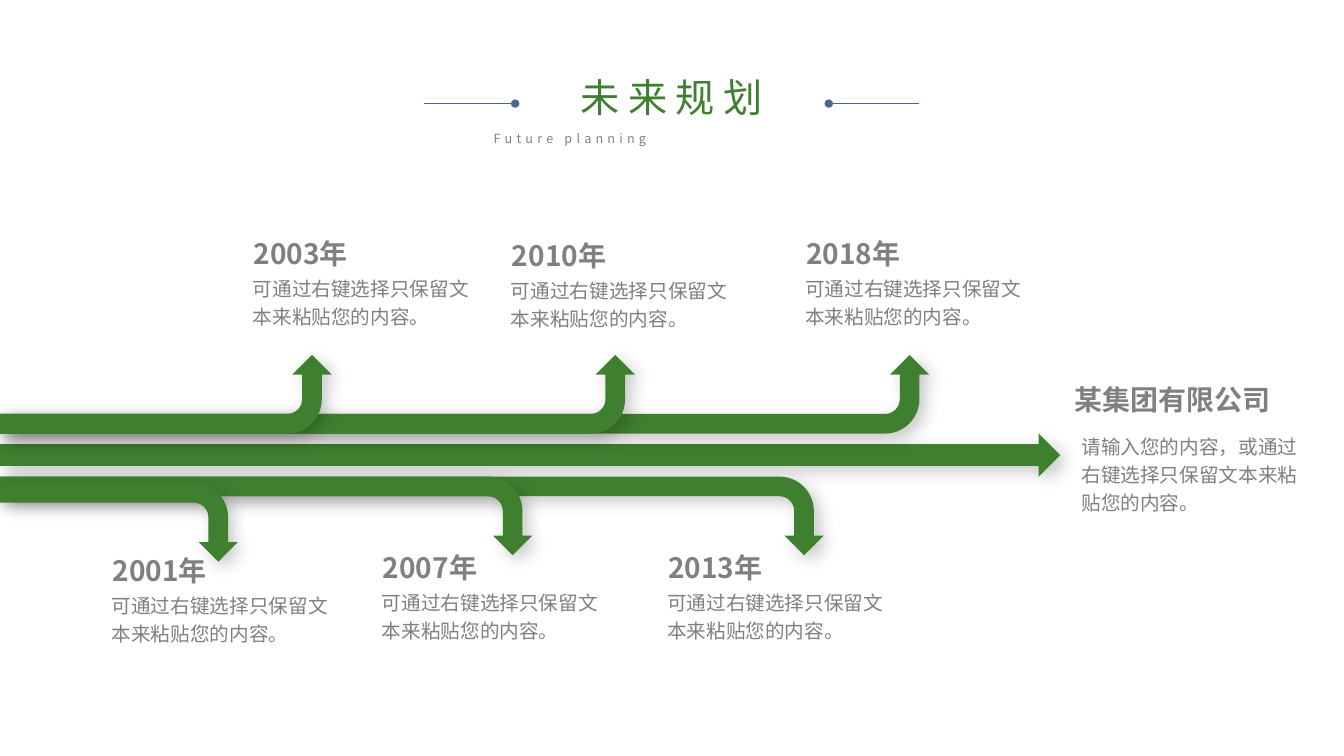
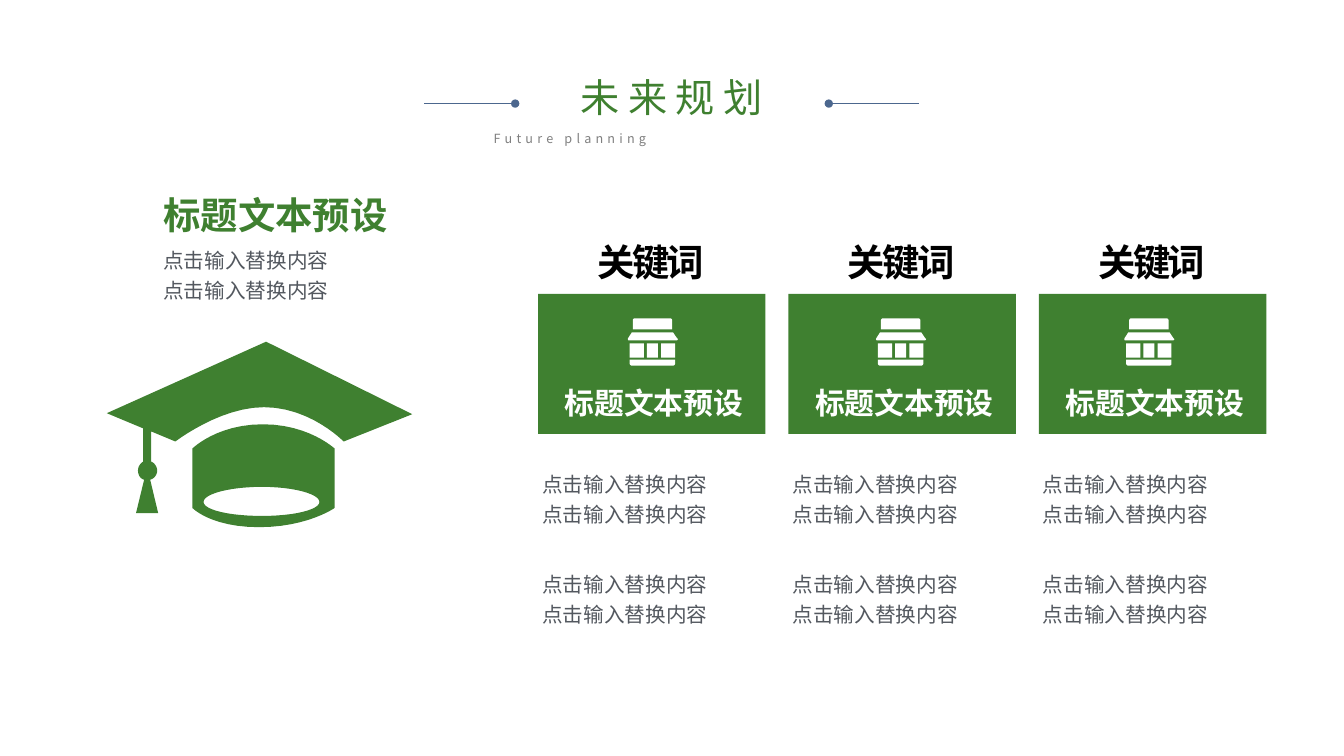
from lxml.etree import SubElement
from pptx import Presentation
from pptx.dml.color import RGBColor
from pptx.enum.shapes import MSO_CONNECTOR, MSO_SHAPE
from pptx.enum.text import MSO_ANCHOR, MSO_AUTO_SIZE, PP_ALIGN
from pptx.oxml.ns import qn
from pptx.util import Pt

FONT = "Noto Sans CJK SC"
COLORS = {
    "green": "3F8030",
    "blue": "4C678E",
    "gray": "808080",
    "slate": "53585F",
    "black": "000000",
    "white": "FFFFFF",
}
DEFAULT_INSETS = (7.2, 3.6)
TITLE_ONLY = 5

BRANCH_HEIGHT = 56.2
UPPER_TOP = 253.5
LOWER_TOP = 340.4
UPPER_REACHES = (663.8, 453.6, 236.9)
LOWER_BRANCHES = ((588.4, LOWER_TOP), (380.2, LOWER_TOP), (170, 345))
MILESTONES = (
    ("2001年", 73.4, 391.7),
    ("2003年", 174.2, 165.6),
    ("2007年", 266.4, 389.5),
    ("2010年", 358.6, 167),
    ("2013年", 470.2, 389.5),
    ("2018年", 568.8, 165.6),
)
MILESTONE_TEXT = "可通过右键选择只保留文本来粘贴您的内容。"
GOAL_TEXT = "请输入您的内容，或通过右键选择只保留文本来粘贴您的内容。"

PLACEHOLDER_TITLE = "标题文本预设"
PLACEHOLDER_LINES = ["点击输入替换内容"] * 2
CARD_COUNT = 3
CARD_LEFT = 384.3
CARD_PITCH = 178.9
ICON_LEFT = 448.4
ICON_PITCH = 177.3
ICON_TOP = 227.4

CAP = (
    (
        (245.5, 315.4),
        (245.5, 315.4, 221.8, 290.9, 188.6, 290.9),
        (157, 290.9, 125.3, 315.4, 125.3, 315.4),
        (108, 308.2),
        (108, 329.8),
        (110.2, 330.5, 112.3, 333.4, 112.3, 336.2),
        (112.3, 339.1, 110.2, 342, 107.3, 342.7),
        (113, 366.5),
        (97.2, 366.5),
        (103, 342.7),
        (100.1, 342, 98.6, 339.1, 98.6, 336.2),
        (98.6, 333.4, 100.1, 331.2, 102.2, 329.8),
        (102.2, 306),
        (76.3, 295.2),
        (190.1, 244.1),
        (294.5, 295.9),
    ),
    (
        (187.9, 303.1),
        (220.3, 303.1, 239, 320.4, 239, 320.4),
        (239, 362.9),
        (239, 362.9, 219.6, 376.6, 185, 376.6),
        (150.5, 376.6, 137.5, 362.9, 137.5, 362.9),
        (137.5, 320.4),
        (137.5, 320.4, 154.8, 303.1, 187.9, 303.1),
    ),
    (
        (187.2, 368.6),
        (209.5, 368.6, 228.2, 364.3, 228.2, 358.6),
        (228.2, 352.8, 209.5, 347.8, 187.2, 347.8),
        (164.2, 347.8, 145.4, 352.8, 145.4, 358.6),
        (145.4, 364.3, 164.2, 368.6, 187.2, 368.6),
    ),
)
SHOP_PANES = tuple(
    ((left, 18), (right, 18), (right, 28.1), (left, 28.1))
    for left, right in ((1.4, 11.5), (13.7, 21.6), (23.8, 33.8))
)
SHOP = SHOP_PANES + (
    (
        (1.4, 29.5),
        (33.8, 29.5),
        (33.8, 32.4),
        (33.8, 33.1, 33.1, 33.8, 32.4, 33.8),
        (2.9, 33.8),
        (2.2, 33.8, 1.4, 33.1, 1.4, 32.4),
    ),
    (
        (2.9, 10.1),
        (32.4, 10.1),
        (35.3, 14.4),
        (36, 14.4, 36, 15.8, 34.6, 15.8),
        (0.7, 15.8),
        (0, 15.8, 0, 14.4, 0.4, 14),
    ),
    (
        (5, 0),
        (30.2, 0),
        (31, 0, 31.7, 0.7, 31.7, 1.4),
        (31.7, 7.9),
        (3.6, 7.9),
        (3.6, 1.4),
        (3.6, 0.7, 4.3, 0, 5, 0),
    ),
)


def rgb(name):
    """Return the named colour."""
    return RGBColor.from_string(COLORS[name])


def write_text(shape, lines, size, color, bold=False, align=PP_ALIGN.LEFT,
               anchor=MSO_ANCHOR.TOP, insets=DEFAULT_INSETS, spacing=None, tracking=0):
    """Fill a shape with equally formatted paragraphs."""
    frame = shape.text_frame
    frame.text = "\n".join(lines)
    frame.word_wrap = True
    frame.auto_size = MSO_AUTO_SIZE.NONE
    frame.vertical_anchor = anchor
    frame.margin_left = frame.margin_right = Pt(insets[0])
    frame.margin_top = frame.margin_bottom = Pt(insets[1])
    for paragraph in frame.paragraphs:
        paragraph.alignment = align
        if spacing:
            paragraph.line_spacing = spacing
        font = paragraph.font
        font.name = FONT
        font.size = Pt(size)
        font.bold = bold
        font.color.rgb = rgb(color)
        properties = paragraph._p.pPr.find(qn("a:defRPr"))
        properties.set("spc", str(tracking * 100))
        SubElement(properties, qn("a:ea"), typeface=FONT)


def add_text(slide, box, lines, size, color, **style):
    """Add a text box given as left, top, width and height."""
    write_text(slide.shapes.add_textbox(*map(Pt, box)), lines, size, color, **style)


def paint(shape, color):
    """Give a shape a flat fill without outline or shadow."""
    shape.shadow.inherit = False
    shape.fill.solid()
    shape.fill.fore_color.rgb = rgb(color)
    shape.line.fill.background()


def add_shape(slide, kind, box, color):
    """Add a flat preset shape."""
    shape = slide.shapes.add_shape(kind, *map(Pt, box))
    paint(shape, color)
    return shape


def add_shadow(shape):
    """Add a soft shadow to the lower right."""
    effects = shape.element.spPr.find(qn("a:effectLst"))
    shadow = SubElement(
        effects, qn("a:outerShdw"), blurRad=str(Pt(12)), dist=str(Pt(5)),
        dir="2700000", algn="tl", rotWithShape="0",
    )
    color = SubElement(shadow, qn("a:srgbClr"), val=COLORS["black"])
    SubElement(color, qn("a:alpha"), val="21000")


def add_branch(slide, reach, top, upward):
    """Add an arrow from the left edge that bends up or down."""
    box = (
        (reach - BRANCH_HEIGHT) / 2,
        top + (BRANCH_HEIGHT - reach) / 2,
        BRANCH_HEIGHT,
        reach,
    )
    branch = add_shape(slide, MSO_SHAPE.BENT_ARROW, box, "green")
    branch.rotation = 90 if upward else 270
    transform = branch.element.spPr.get_or_add_xfrm()
    transform.set("flipH", "1")
    if not upward:
        transform.set("flipV", "1")
    add_shadow(branch)


def flatten(contour, steps=12):
    """Turn a contour of lines and cubic curves into points."""
    points = [contour[0]]
    for segment in contour[1:]:
        if len(segment) == 2:
            points.append(segment)
            continue
        controls = (points[-1], segment[:2], segment[2:4], segment[4:])
        for step in range(1, steps + 1):
            t = step / steps
            weights = ((1 - t) ** 3, 3 * t * (1 - t) ** 2, 3 * t * t * (1 - t), t ** 3)
            points.append(tuple(
                sum(weight * control[axis] for weight, control in zip(weights, controls))
                for axis in (0, 1)
            ))
    return points


def add_outline(slide, contours, color, left=0, top=0):
    """Draw closed contours as one freeform."""
    builder = None
    for contour in contours:
        points = [(Pt(left + x), Pt(top + y)) for x, y in flatten(contour)]
        if builder is None:
            builder = slide.shapes.build_freeform(*points[0])
        else:
            builder.move_to(*points[0])
        builder.add_line_segments(points[1:], close=True)
    paint(builder.convert_to_shape(), color)


def add_title_line(slide, start, end):
    """Add a thin line ending in a dot beside the title."""
    y = Pt(74)
    line = slide.shapes.add_connector(MSO_CONNECTOR.STRAIGHT, Pt(start), y, Pt(end), y)
    line.line.color.rgb = rgb("blue")
    line.line.width = Pt(0.5)
    SubElement(line.line._get_or_add_ln(), qn("a:tailEnd"), type="oval")
    SubElement(line.element.spPr, qn("a:effectLst"))


def add_titled_slide(presentation):
    """Add a slide with the shared heading."""
    slide = presentation.slides.add_slide(presentation.slide_layouts[TITLE_ONLY])
    title = slide.shapes.title
    title.left, title.top, title.width, title.height = map(Pt, (371.5, 49, 216.7, 41))
    write_text(title, ["未来规划"], 28, "green", align=PP_ALIGN.CENTER, tracking=6)
    add_text(slide, (345.6, 90, 269.3, 18), ["Future planning"], 9, "gray",
             align=PP_ALIGN.JUSTIFY, tracking=3)
    add_title_line(slide, 303, 368)
    add_title_line(slide, 656.5, 592)
    return slide


def add_milestone(slide, year, left, top):
    """Add a year with its description."""
    add_text(slide, (left, top, 102.2, 31.7), [year], 20, "gray", bold=True)
    add_text(slide, (left - 0.7, top + 25.4, 175, 68.4), [MILESTONE_TEXT], 14, "gray", spacing=1.2)


def add_card(slide, index):
    """Add one keyword column with its green panel."""
    left = CARD_LEFT + index * CARD_PITCH
    centered = {"bold": True, "align": PP_ALIGN.CENTER, "anchor": MSO_ANCHOR.MIDDLE}
    add_shape(slide, MSO_SHAPE.RECTANGLE, (left, 210, 162.4, 100), "green")
    add_text(slide, (left, 170.6, 161.3, 32.4), ["关键词"], 26.7, "black",
             insets=(9.4, 5), tracking=-2, **centered)
    add_text(slide, (left + 4.3, 273, 157, 28.8), [PLACEHOLDER_TITLE], 21.3, "white", **centered)
    for top in (329.8, 401.6):
        add_text(slide, (left - 4.2, top, 170, 49.7), PLACEHOLDER_LINES, 14.7, "slate",
                 anchor=MSO_ANCHOR.MIDDLE, spacing=1.2)
    add_outline(slide, SHOP, "white", ICON_LEFT + index * ICON_PITCH, ICON_TOP)


def build_timeline(presentation):
    """Build the slide of milestones along branching arrows."""
    slide = add_titled_slide(presentation)
    for milestone in MILESTONES:
        add_milestone(slide, *milestone)
    add_text(slide, (735.1, 270, 205.2, 31.7), ["某集团有限公司"], 20, "gray",
             bold=True, align=PP_ALIGN.CENTER)
    add_text(slide, (765.4, 303.8, 175, 88.6), [GOAL_TEXT], 14, "gray", spacing=1.2)
    add_shadow(add_shape(slide, MSO_SHAPE.RIGHT_ARROW, (0, 309.6, 757.4, 31), "green"))
    for reach in UPPER_REACHES:
        add_branch(slide, reach, UPPER_TOP, upward=True)
    for reach, top in LOWER_BRANCHES:
        add_branch(slide, reach, top, upward=False)


def build_keywords(presentation):
    """Build the slide of three keyword columns."""
    slide = add_titled_slide(presentation)
    add_text(slide, (116.6, 137.5, 206, 24.5), [PLACEHOLDER_TITLE], 26.7, "green",
             bold=True, insets=(0, 0))
    add_text(slide, (116.6, 173.5, 206, 62.6), PLACEHOLDER_LINES, 14.7, "slate",
             insets=(0, 0), spacing=1.2)
    for index in range(CARD_COUNT):
        add_card(slide, index)
    add_outline(slide, CAP, "green")


def main():
    """Build and save the presentation."""
    presentation = Presentation()
    presentation.slide_width, presentation.slide_height = Pt(960), Pt(540)
    build_timeline(presentation)
    build_keywords(presentation)
    presentation.save("out.pptx")


if __name__ == "__main__":
    main()
